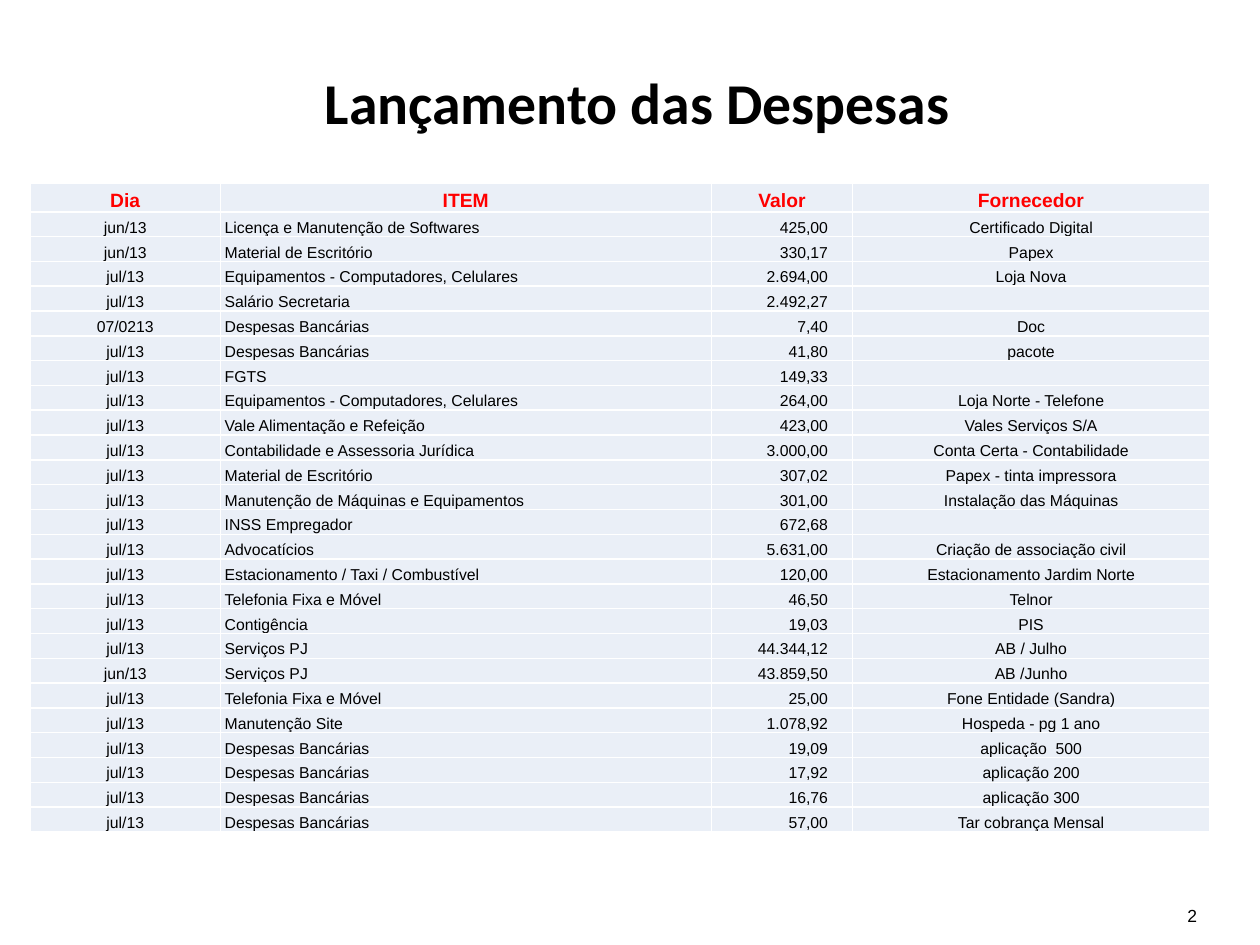
from lxml.etree import SubElement
from pptx import Presentation
from pptx.dml.color import RGBColor
from pptx.enum.text import MSO_ANCHOR, PP_ALIGN
from pptx.oxml.ns import qn
from pptx.util import Cm, Pt

WHITE, BLACK, RED, PALE = "FFFFFF", "000000", "FF0000", "EAEFF7"
TITLE = {"name": "Calibri", "size": Pt(33), "bold": True}
HEAD = {"name": "Arial", "size": Pt(11), "bold": True}
BODY = {"name": "Arial", "size": Pt(9), "bold": False}
FOOT = {"name": "Arial", "size": Pt(10), "bold": False}
INSETS = ("margin_left", "margin_top", "margin_right", "margin_bottom")

WIDTHS = (3.83, 9.9, 2.85, 7.19)
LEFT, MID, RIGHT = PP_ALIGN.LEFT, PP_ALIGN.CENTER, PP_ALIGN.RIGHT
ALIGNS = (MID, LEFT, RIGHT, MID)
PADS = ((0, 0), (0.09, 0), (0, 0.5), (0, 0))

HEADS = ("Dia", "ITEM", "Valor", "Fornecedor")
COSTS = (
    ("jun/13", "Licença e Manutenção de Softwares", "425,00", "Certificado Digital"),
    ("jun/13", "Material de Escritório", "330,17", "Papex"),
    ("jul/13", "Equipamentos - Computadores, Celulares", "2.694,00", "Loja Nova"),
    ("jul/13", "Salário Secretaria", "2.492,27", ""),
    ("07/0213", "Despesas Bancárias", "7,40", "Doc"),
    ("jul/13", "Despesas Bancárias", "41,80", "pacote"),
    ("jul/13", "FGTS", "149,33", ""),
    ("jul/13", "Equipamentos - Computadores, Celulares", "264,00", "Loja Norte - Telefone"),
    ("jul/13", "Vale Alimentação e Refeição", "423,00", "Vales Serviços S/A"),
    ("jul/13", "Contabilidade e Assessoria Jurídica", "3.000,00", "Conta Certa - Contabilidade"),
    ("jul/13", "Material de Escritório", "307,02", "Papex - tinta impressora"),
    ("jul/13", "Manutenção de Máquinas e Equipamentos", "301,00", "Instalação das Máquinas"),
    ("jul/13", "INSS Empregador", "672,68", ""),
    ("jul/13", "Advocatícios", "5.631,00", "Criação de associação civil"),
    ("jul/13", "Estacionamento / Taxi / Combustível", "120,00", "Estacionamento Jardim Norte"),
    ("jul/13", "Telefonia Fixa e Móvel", "46,50", "Telnor"),
    ("jul/13", "Contigência", "19,03", "PIS"),
    ("jul/13", "Serviços PJ", "44.344,12", "AB / Julho"),
    ("jun/13", "Serviços PJ", "43.859,50", "AB /Junho"),
    ("jul/13", "Telefonia Fixa e Móvel", "25,00", "Fone Entidade (Sandra)"),
    ("jul/13", "Manutenção Site", "1.078,92", "Hospeda - pg 1 ano"),
    ("jul/13", "Despesas Bancárias", "19,09", "aplicação  500"),
    ("jul/13", "Despesas Bancárias", "17,92", "aplicação 200"),
    ("jul/13", "Despesas Bancárias", "16,76", "aplicação 300"),
    ("jul/13", "Despesas Bancárias", "57,00", "Tar cobrança Mensal"),
)


def tint(code):
    return RGBColor.from_string(code)


def write(para, text, style, ink, align):
    para.alignment = align
    if not text:
        SubElement(para._p, qn("a:endParaRPr"), sz=str(int(style["size"].pt * 100)))
        return
    run = para.add_run()
    run.text = text
    for key, value in style.items():
        setattr(run.font, key, value)
    run.font.color.rgb = tint(ink)


def add_text(slide, place, text, style, align, anchor):
    frame = slide.shapes.add_textbox(*map(Cm, place)).text_frame
    frame.word_wrap = True
    frame.vertical_anchor = anchor
    for inset in INSETS:
        setattr(frame, inset, 0)
    write(frame.paragraphs[0], text, style, BLACK, align)
    return frame


def add_rules(cell):
    props = cell._tc.get_or_add_tcPr()
    for side in ("lnL", "lnR", "lnT", "lnB"):
        line = SubElement(props, qn(f"a:{side}"), w=str(Pt(1)))
        fill = SubElement(line, qn("a:solidFill"))
        SubElement(fill, qn("a:srgbClr"), val=WHITE)


def fill_cell(cell, text, style, ink, align, pads):
    add_rules(cell)
    cell.fill.solid()
    cell.fill.fore_color.rgb = tint(PALE)
    cell.vertical_anchor = MSO_ANCHOR.BOTTOM
    left, right = pads
    for inset, size in zip(INSETS, (left, 0, right, 0)):
        setattr(cell, inset, Cm(size))
    write(cell.text_frame.paragraphs[0], text, style, ink, align)


def add_costs(slide):
    count = len(COSTS) + 1
    place = map(Cm, (0.61, 3.69, sum(WIDTHS), 13.03))
    table = slide.shapes.add_table(count, len(WIDTHS), *place).table
    for col, width in zip(table.columns, WIDTHS):
        col.width = Cm(width)
    for index, (row, texts) in enumerate(zip(table.rows, (HEADS, *COSTS))):
        row.height = Cm(0.5 if index else 0.58)
        for cell, text, align, pads in zip(row.cells, texts, ALIGNS, PADS):
            if index:
                fill_cell(cell, text, BODY, BLACK, align, pads)
            else:
                fill_cell(cell, text, HEAD, RED, MID, (0, 0))


def main():
    deck = Presentation()
    deck.slide_width, deck.slide_height = Cm(25.4), Cm(19.05)
    slide = deck.slides.add_slide(deck.slide_layouts[6])
    title = add_text(slide, (1.9, 0.74, 21.9, 2.77), "Lançamento das Despesas",
                     TITLE, MID, MSO_ANCHOR.MIDDLE)
    title.paragraphs[0].line_spacing = 0.9
    add_costs(slide)
    add_text(slide, (18.19, 18.24, 5.94, 0.43), "2", FOOT, RIGHT, MSO_ANCHOR.BOTTOM)
    deck.save("out.pptx")


if __name__ == "__main__":
    main()
